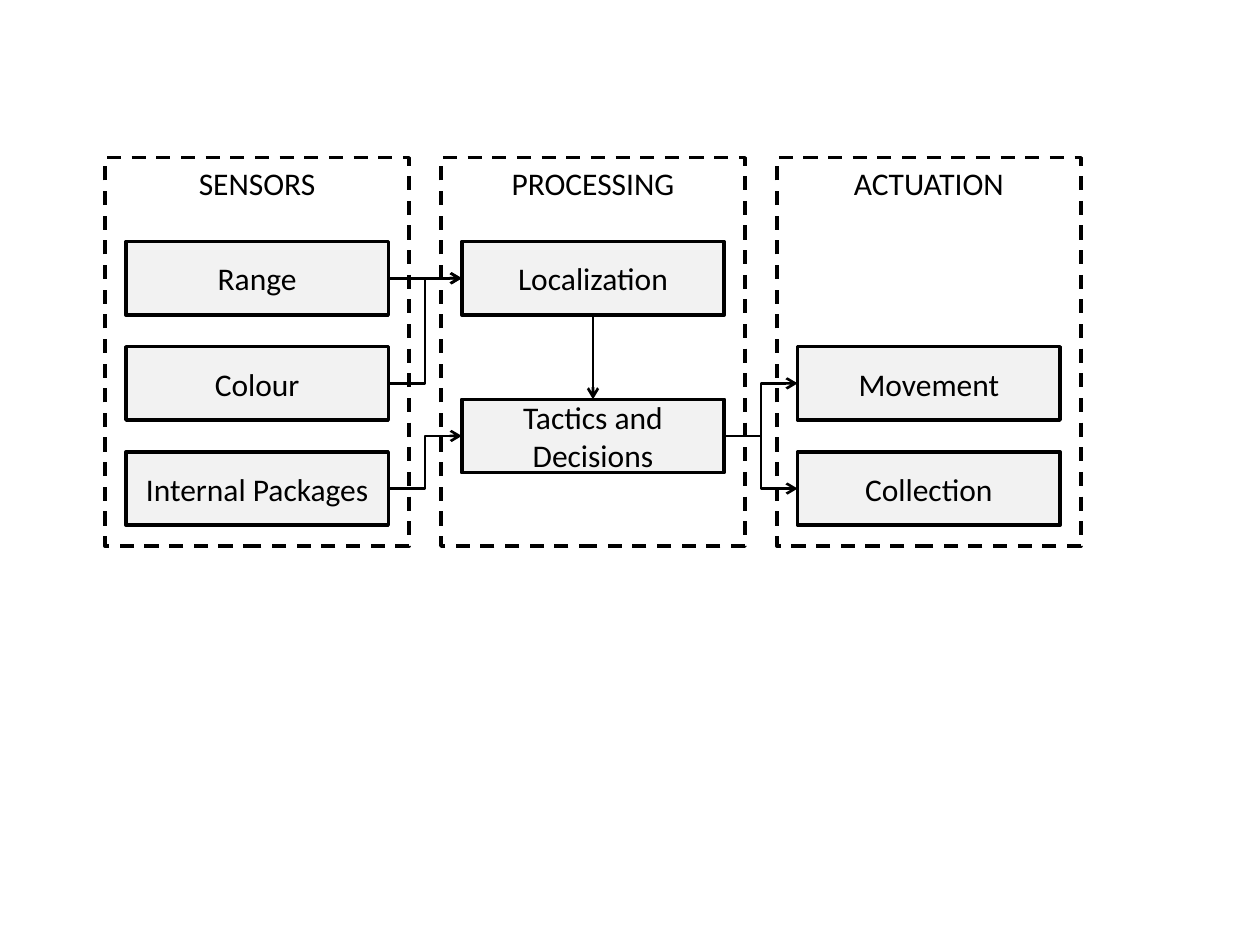
from lxml import etree
from pptx import Presentation
from pptx.dml.color import RGBColor
from pptx.enum import dml, shapes, text
from pptx.oxml.ns import qn
from pptx.util import Cm, Pt

BLACK, GREY = "000000", "F2F2F2"
LEFT, COLUMN_STEP = 2.54, 6.77
TOP, ROW_STEP = 4.87, 2.12
BOX_W, BOX_H = 5.29, 1.48
FRAME_TOP, FRAME_H, FRAME_PAD = 3.18, 7.83, 0.42
TOP_SITE, LEFT_SITE, BOTTOM_SITE, RIGHT_SITE = range(4)

COLUMNS = ["SENSORS", "PROCESSING", "ACTUATION"]
# name: (column, row)
BOXES = {
    "Range": (0, 0),
    "Colour": (0, 1),
    "Internal Packages": (0, 2),
    "Localization": (1, 0),
    "Tactics and Decisions": (1, 1.5),
    "Movement": (2, 1),
    "Collection": (2, 2),
}
FLOWS = [
    ("Range", "Localization"),
    ("Colour", "Localization"),
    ("Internal Packages", "Tactics and Decisions"),
    ("Localization", "Tactics and Decisions"),
    ("Tactics and Decisions", "Collection"),
    ("Tactics and Decisions", "Movement"),
]


def rgb(color):
    return RGBColor.from_string(color)


def add_rect(parent, label, x, y, w, h, anchor):
    """Add an outlined rectangle with a centred label."""
    sp = parent.add_shape(shapes.MSO_SHAPE.RECTANGLE, Cm(x), Cm(y), Cm(w), Cm(h))
    sp.shadow.inherit = False
    sp.line.color.rgb = rgb(BLACK)
    sp.line.width = Pt(2)
    tf = sp.text_frame
    tf.word_wrap = True
    tf.vertical_anchor = anchor
    p = tf.paragraphs[0]
    p.text = label
    p.alignment = text.PP_ALIGN.CENTER
    p.font.name = "Calibri"
    p.font.size = Pt(18)
    p.font.color.rgb = rgb(BLACK)
    return sp


def add_box(parent, label, column, row):
    sp = add_rect(parent, label, LEFT + column * COLUMN_STEP, TOP + row * ROW_STEP,
                  BOX_W, BOX_H, text.MSO_ANCHOR.MIDDLE)
    sp.fill.solid()
    sp.fill.fore_color.rgb = rgb(GREY)
    return sp


def add_frame(parent, label, column):
    """Add the dashed frame around one column of boxes."""
    sp = add_rect(parent, label, LEFT - FRAME_PAD + column * COLUMN_STEP, FRAME_TOP,
                  BOX_W + 2 * FRAME_PAD, FRAME_H, text.MSO_ANCHOR.TOP)
    sp.fill.background()
    sp.line.dash_style = dml.MSO_LINE.DASH


def add_arrow(parent, start, end):
    """Join two boxes: downwards in one column, otherwise left to right."""
    same_column, same_row = start.left == end.left, start.top == end.top
    kind = (shapes.MSO_CONNECTOR.STRAIGHT if same_column or same_row
            else shapes.MSO_CONNECTOR.ELBOW)
    sites = (BOTTOM_SITE, TOP_SITE) if same_column else (RIGHT_SITE, LEFT_SITE)
    cxn = parent.add_connector(kind, 0, 0, 0, 0)
    cxn.begin_connect(start, sites[0])
    cxn.end_connect(end, sites[1])
    cxn.line.color.rgb = rgb(BLACK)
    cxn.line.width = Pt(1.5)
    etree.SubElement(cxn.line._get_or_add_ln(), qn("a:tailEnd"), type="arrow")
    etree.SubElement(cxn._element.spPr, qn("a:effectLst"))


def main():
    prs = Presentation()
    prs.slide_width, prs.slide_height = Cm(25.4), Cm(19.05)
    s = prs.slides.add_slide(prs.slide_layouts[6])
    diagram = s.shapes.add_group_shape().shapes

    boxes = {name: add_box(diagram, name, *cell) for name, cell in BOXES.items()}
    for column, title in enumerate(COLUMNS):
        add_frame(diagram, title, column)
    for start, end in FLOWS:
        add_arrow(diagram, boxes[start], boxes[end])

    prs.save("out.pptx")


if __name__ == "__main__":
    main()
